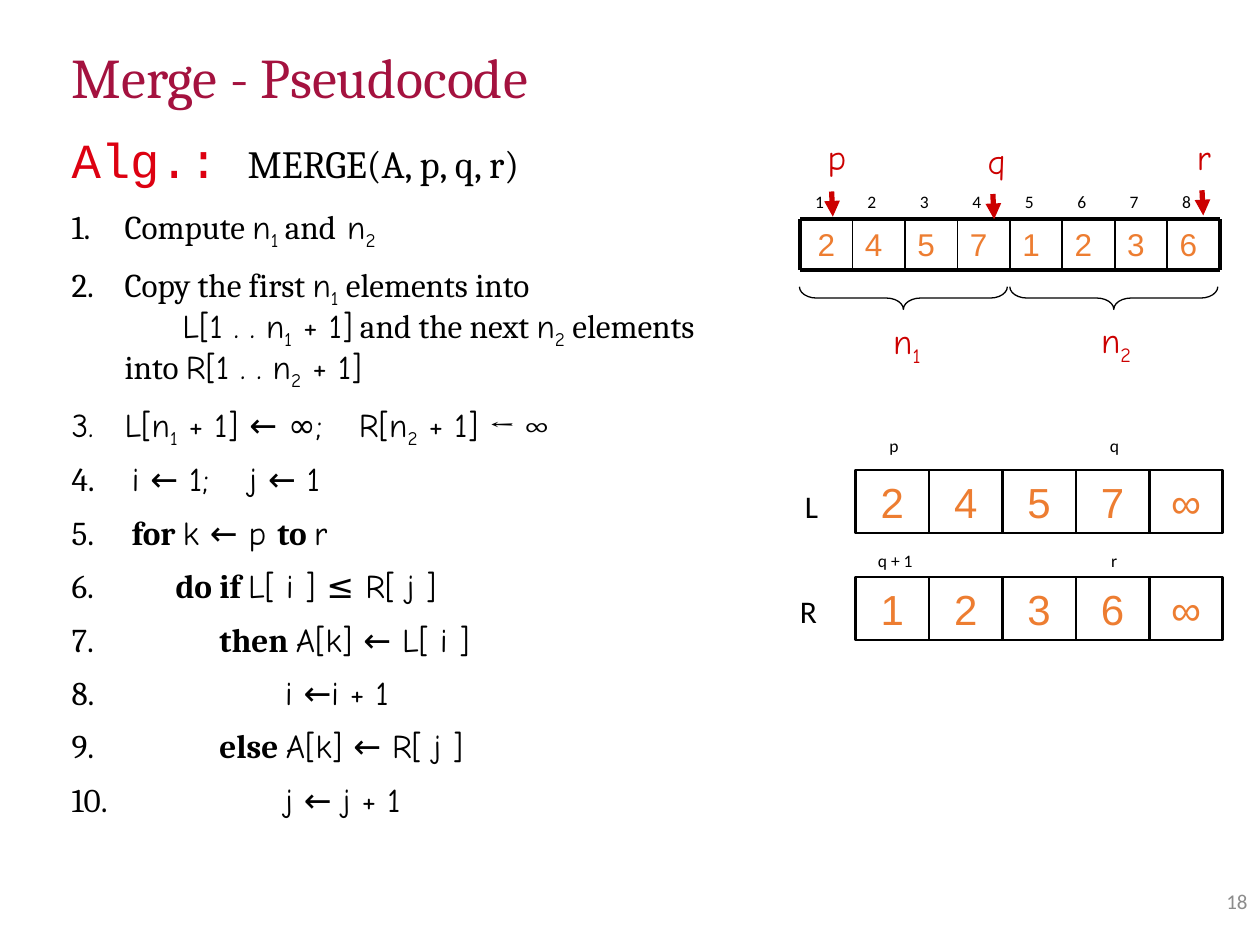
"""Build the merge pseudocode slide with its array diagrams."""
import pptx
import pptx.dml.color
import pptx.enum.shapes
import pptx.enum.text
import pptx.oxml.ns
import pptx.util
from lxml import etree

Inches, Pt = pptx.util.Inches, pptx.util.Pt
ALIGN = pptx.enum.text.PP_ALIGN
ANCHOR = pptx.enum.text.MSO_ANCHOR
SHAPES = pptx.enum.shapes.MSO_SHAPE

COLORS = {"title": "A4123F", "alg": "DD0111", "text": "000000", "value": "ED7D31",
          "marker": "CC0000", "number": "8C8C8C"}
STYLES = {"serif": ("Cambria", False, False), "bold": ("Cambria", True, False),
          "code": ("Comic Neue", False, False), "sub": ("Comic Neue", False, True)}

STEPS = [
    ([("serif", "Compute "), ("code", "n"), ("sub", "1 "), ("serif", "and"),
      ("code", " n"), ("sub", "2")], None),
    ([("serif", "Copy the first "), ("code", "n"), ("sub", "1"),
      ("serif", " elements into\v\t"), ("code", "L[1 . . n"), ("sub", "1"),
      ("code", " + 1]"), ("serif", " and the next "), ("code", "n"), ("sub", "2"),
      ("serif", " elements into "), ("code", "R[1 . . n"), ("sub", "2"),
      ("code", " + 1]")], 0.88),
    ([("code", "L[n"), ("sub", "1"), ("code", " + 1] ← ∞;\tR[n"), ("sub", "2"),
      ("code", " + 1] "), ("serif", "← ∞")], 2.28),
    ([("serif", " "), ("code", "i ← 1;\tj ← 1")], 1.41),
    ([("serif", " "), ("bold", "for "), ("code", "k ← p "), ("bold", "to "),
      ("code", "r")], None),
    ([("serif", " " * 7), ("bold", "do if "), ("code", "L[ i ] ≤ R[ j ]")], None),
    ([("serif", " " * 13), ("bold", "then "), ("code", "A[k] ← L[ i ]")], None),
    ([("serif", " " * 22), ("code", "i ←i + 1")], None),
    ([("serif", " " * 13), ("bold", "else "), ("code", "A[k] ← R[ j ]")], None),
    ([("serif", " " * 22), ("code", "j ← j + 1")], None),
]

ARRAY = "24571236"
ARRAY_LEFT, ARRAY_TOP, ARRAY_RIGHT, ARRAY_BOTTOM = 6.35, 1.74, 9.68, 2.14
ARRAY_STEP = (ARRAY_RIGHT - ARRAY_LEFT) / len(ARRAY)
MARKERS = [("p", 6.47, 1.03, 6.6, 1.52), ("q", 7.74, 1.06, 7.88, 1.54),
           ("r", 9.4, 1.03, 9.54, 1.51)]
HALVES = [("1", 7.08, 6.99, 2.49), ("2", 8.75, 8.64, 2.48)]

ROW_LEFT, CELL_WIDTH, CELL_HEIGHT = 6.79, 0.583, 0.5
ROWS = [("L", 6.29, 3.82, 0.34, "2457∞", 3.73),
        ("R", 6.25, 4.65, 0.38, "1236∞", 4.58)]
ROW_ENDS = [("p", 6.96, 3.4, 0.25), ("q", 8.71, 3.4, 0.25),
            ("q + 1", 6.87, 4.32, 0.64), ("r", 8.72, 4.32, 0.24)]


def rgb(name):
    return pptx.dml.color.RGBColor.from_string(COLORS[name])


def style_font(font, name, size, color):
    font.name, font.size = name, Pt(size)
    font.color.rgb = rgb(color)


def add_label(slide, text, place, name, size, color, align=ALIGN.LEFT,
              anchor=ANCHOR.TOP, wrap=True):
    box = slide.shapes.add_textbox(*map(Inches, place))
    frame = box.text_frame
    frame.word_wrap, frame.vertical_anchor = wrap, anchor
    para = frame.paragraphs[0]
    para.text, para.alignment = text, align
    style_font(para.font, name, size, color)
    return para


def add_span(para, text, style):
    para.add_line_break() if text.startswith("\v") else None
    span = para.add_run()
    span.text = text.lstrip("\v")
    span.font.name, span.font.bold, lowered = STYLES[style]
    if lowered:
        span.font._element.set("baseline", "-25000")


def add_line(slide, start, end, width, color="text", arrow=False):
    line = slide.shapes.add_connector(pptx.enum.shapes.MSO_CONNECTOR.STRAIGHT,
                                      *map(Inches, start + end))
    line.line.width, line.line.color.rgb = Pt(width), rgb(color)
    if arrow:
        tail = etree.SubElement(line.line._get_or_add_ln(), pptx.oxml.ns.qn("a:tailEnd"))
        tail.set("type", "triangle")
    etree.SubElement(line._element.spPr, pptx.oxml.ns.qn("a:effectLst"))


def add_outline(slide, kind, place, width):
    shape = slide.shapes.add_shape(kind, *map(Inches, place))
    shape.shadow.inherit = False
    shape.fill.background()
    shape.line.width, shape.line.color.rgb = Pt(width), rgb("text")
    return shape


def add_pseudocode(slide):
    frame = slide.shapes.add_textbox(*map(Inches, (0.47, 1.03, 5.3, 5.58))).text_frame
    frame.word_wrap = True
    heading = frame.paragraphs[0]
    heading.line_spacing = 0.9
    for text, name, size, color in (("Alg.: ", "Courier New", 28, "alg"),
                                    ("MERGE(A, p, q, r)", "Cambria", 22, "text")):
        span = heading.add_run()
        span.text = text
        style_font(span.font, name, size, color)
    for spans, tab_stop in STEPS:
        para = frame.add_paragraph()
        para.line_spacing, para.space_before = 0.9, Pt(10)
        properties = para._p.get_or_add_pPr()
        properties.set("marL", str(Inches(0.42)))
        properties.set("indent", str(-Inches(0.42)))
        bullet = etree.SubElement(properties, pptx.oxml.ns.qn("a:buAutoNum"))
        bullet.set("type", "arabicPeriod")
        if tab_stop:
            tabs = etree.SubElement(properties, pptx.oxml.ns.qn("a:tabLst"))
            tab = etree.SubElement(tabs, pptx.oxml.ns.qn("a:tab"))
            tab.set("pos", str(Inches(tab_stop)))
            tab.set("algn", "l")
        para.font.size = Pt(19)
        para.font.color.rgb = rgb("text")
        for style, text in spans:
            before, found, after = text.partition("\v")
            add_span(para, before, style)
            if found:
                add_span(para, found + after, style)


def add_array(slide):
    for index, value in enumerate(ARRAY):
        left = ARRAY_LEFT + index * ARRAY_STEP
        add_label(slide, str(index + 1), (left + 0.02, 1.47, 0.25, 0.27),
                  "Calibri", 10, "text")
        add_label(slide, value, (left, ARRAY_TOP, ARRAY_STEP, 0.4), "Arial", 18, "value",
                  ALIGN.LEFT if index else ALIGN.CENTER)
    for y in (ARRAY_TOP, ARRAY_BOTTOM):
        add_line(slide, (ARRAY_LEFT, y), (ARRAY_RIGHT, y), 2.25)
    for index in range(len(ARRAY) + 1):
        x = ARRAY_LEFT + index * ARRAY_STEP
        add_line(slide, (x, ARRAY_TOP), (x, ARRAY_BOTTOM),
                 2.25 if index in (0, len(ARRAY)) else 1)
    for text, left, top, x, y in MARKERS:
        add_line(slide, (x, y), (x + 0.01, y + 0.2), 3, "marker", arrow=True)
        add_label(slide, text, (left, top, 0.35, 0.43), "Comic Neue", 20, "marker", wrap=False)
    for number, brace_left, left, top in HALVES:
        brace = add_outline(slide, SHAPES.LEFT_BRACE, (brace_left, 1.54, 0.18, 1.65), 0.75)
        brace.rotation = 270
        brace.adjustments[0] = 0.75
        para = add_label(slide, "n", (left, top, 0.45, 0.43), "Comic Neue", 20, "marker",
                         wrap=False)
        add_span(para, number, "sub")


def add_rows(slide):
    for name, left, top, width, values, cell_top in ROWS:
        add_label(slide, name, (left, top, width, 0.4), "Calibri", 18, "text", wrap=False)
        for index, value in enumerate(values):
            place = (ROW_LEFT + index * CELL_WIDTH, cell_top, CELL_WIDTH, CELL_HEIGHT)
            cell = add_outline(slide, SHAPES.RECTANGLE, place, 1.5)
            cell.text_frame.vertical_anchor = ANCHOR.MIDDLE
            para = cell.text_frame.paragraphs[0]
            para.text, para.alignment = value, ALIGN.CENTER
            style_font(para.font, "Arial", 24, "value")
    for text, left, top, width in ROW_ENDS:
        add_label(slide, text, (left, top, width, 0.27), "Calibri", 10, "text")


def main():
    deck = pptx.Presentation()
    deck.slide_width, deck.slide_height = Inches(10), Inches(7.5)
    page = deck.slides.add_slide(deck.slide_layouts[6])
    title = add_label(page, "Merge - Pseudocode", (0.47, 0.38, 9.19, 0.51), "Cambria", 32,
                      "title", anchor=ANCHOR.MIDDLE)
    title.line_spacing = 0.9
    add_pseudocode(page)
    add_rows(page)
    add_array(page)
    add_label(page, "18", (7.75, 6.95, 2.25, 0.4), "Calibri", 12, "number", ALIGN.RIGHT,
              ANCHOR.MIDDLE)
    deck.save("out.pptx")


if __name__ == "__main__":
    main()
